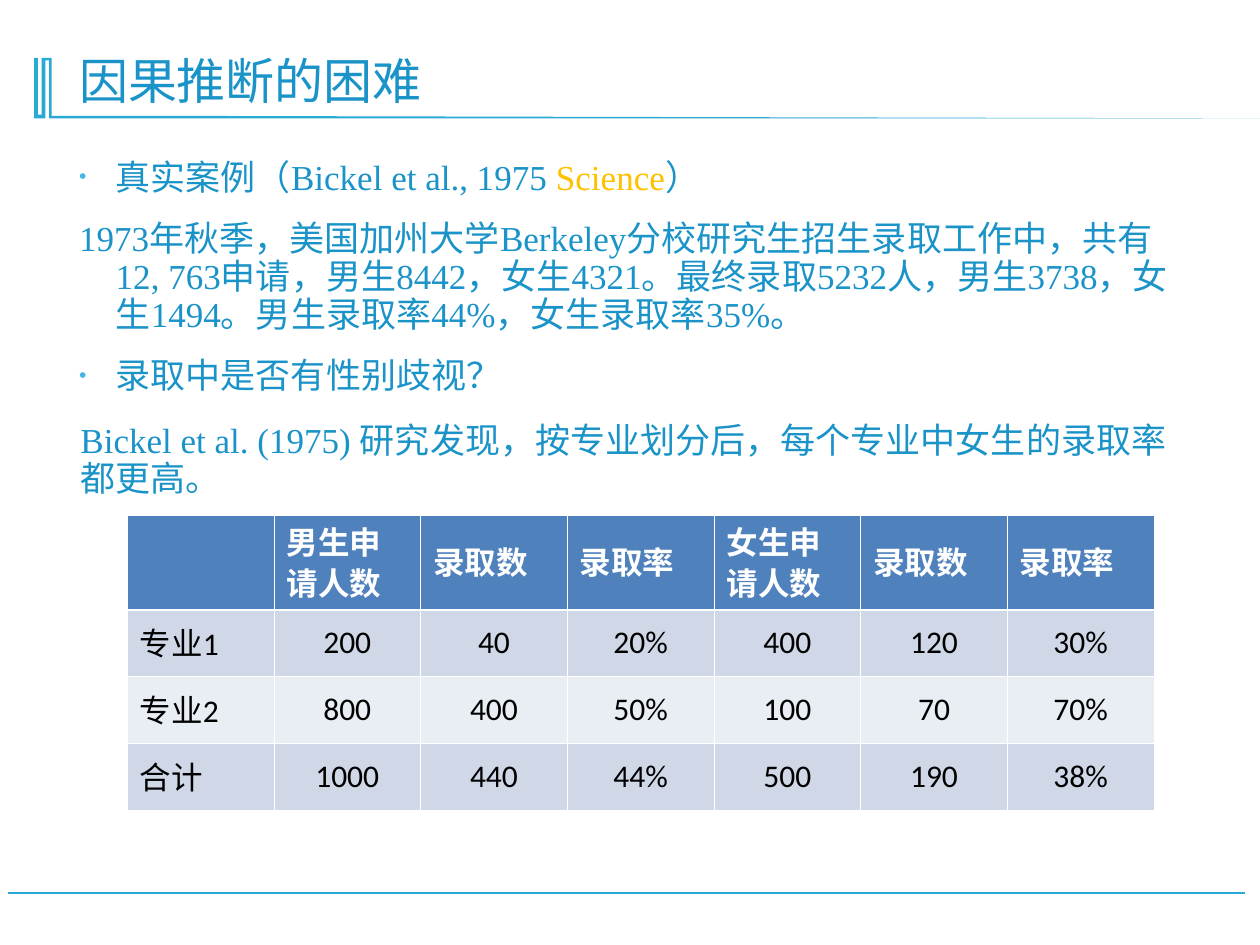
from lxml.etree import SubElement
from pptx import Presentation
from pptx.dml.color import RGBColor
from pptx.enum.shapes import MSO_CONNECTOR as Connector
from pptx.enum.text import MSO_ANCHOR as Anchor, PP_ALIGN as Align
from pptx.oxml.ns import qn
from pptx.util import Inches, Pt

BLUE, CYAN, GOLD, WHITE = "1A93C8", "28A9D6", "FFC000", "FFFFFF"
HEADER_FILL, BAND_FILLS = "4F81BD", ("D0D8E8", "E9EDF4")
SERIF = "Times New Roman"

ORNAMENT = [
    (0.4, 0.46), (0.41, 0.46), (0.41, 0.92), (1.4, 0.92), (10.09, 0.94),
    (0.39, 0.94), (0.39, 0.48), (0.36, 0.48), (0.36, 0.94), (0.27, 0.94),
    (0.27, 0.46), (0.3, 0.46), (0.3, 0.91), (0.33, 0.91), (0.33, 0.46),
]
CASE = [("真实案例（Bickel et al., 1975 ", BLUE), ("Science", GOLD), ("）", BLUE)]
ADMISSIONS = (
    "1973年秋季，美国加州大学Berkeley分校研究生招生录取工作中，"
    "共有12, 763申请，男生8442，女生4321。最终录取5232人，"
    "男生3738，女生1494。男生录取率44%，女生录取率35%。"
)
FINDING = "Bickel et al. (1975) 研究发现，按专业划分后，每个专业中女生的录取率都更高。"
ROWS = [
    ["", "男生申请人数", "录取数", "录取率", "女生申请人数", "录取数", "录取率"],
    ["专业1", "200", "40", "20%", "400", "120", "30%"],
    ["专业2", "800", "400", "50%", "100", "70", "70%"],
    ["合计", "1000", "440", "44%", "500", "190", "38%"],
]


def rgb(value):
    return RGBColor.from_string(value)


def add_bullet(p):
    pPr = p._p.get_or_add_pPr()
    color = SubElement(pPr, qn("a:buClr"))
    SubElement(color, qn("a:srgbClr"), val="47B6E7")
    SubElement(pPr, qn("a:buSzPct"), val="60000")
    SubElement(pPr, qn("a:buFont"), typeface="Arial")
    SubElement(pPr, qn("a:buChar"), char="•")


def write(tf, text, size=20, font=SERIF, color=BLUE, bold=False,
          align=Align.LEFT, bullet=False, hanging=0, first=True):
    p = tf.paragraphs[0] if first else tf.add_paragraph()
    p.alignment = align
    p.line_spacing = 0.9
    p.space_before = Pt(0 if first else 13.5)
    if hanging:
        pPr = p._p.get_or_add_pPr()
        pPr.set("marL", str(Inches(hanging)))
        pPr.set("indent", str(-Inches(hanging)))
    if bullet:
        add_bullet(p)
    for part, part_color in [(text, color)] if isinstance(text, str) else text:
        r = p.add_run()
        r.text = part
        r.font.size = Pt(size)
        r.font.name = font
        r.font.bold = bold
        r.font.color.rgb = rgb(part_color)


def add_textbox(s, left, top, width, height, anchor=Anchor.TOP):
    box = s.shapes.add_textbox(*map(Inches, (left, top, width, height)))
    tf = box.text_frame
    tf.word_wrap = True
    tf.vertical_anchor = anchor
    return tf


def add_line(s, x1, y1, x2, y2, color, width):
    line = s.shapes.add_connector(
        Connector.STRAIGHT, *map(Inches, (x1, y1, x2, y2)))
    line.line.color.rgb = rgb(color)
    line.line.width = Pt(width)
    SubElement(line._element.spPr, qn("a:effectLst"))


def add_outline(s, points, color):
    start, *rest = [(Inches(x), Inches(y)) for x, y in points]
    builder = s.shapes.build_freeform(*start)
    builder.add_line_segments(rest, close=True)
    sp = builder.convert_to_shape()
    sp.fill.solid()
    sp.fill.fore_color.rgb = rgb(color)
    sp.line.fill.background()
    sp.shadow.inherit = False


def set_borders(cell, **widths):
    tcPr = cell._tc.get_or_add_tcPr()
    for side, width in widths.items():
        ln = SubElement(tcPr, qn(f"a:ln{side}"), w=str(Pt(width)))
        SubElement(SubElement(ln, qn("a:solidFill")), qn("a:srgbClr"), val=WHITE)


def add_admission_table(s):
    frame = s.shapes.add_table(
        len(ROWS), len(ROWS[0]), *map(Inches, (1.01, 4.09, 8.15, 2.34)))
    table = frame.table
    table.horz_banding = False
    for i, values in enumerate(ROWS):
        table.rows[i].height = Inches(0.53 if i else 0.75)
        fill = BAND_FILLS[(i - 1) % 2] if i else HEADER_FILL
        for j, value in enumerate(values):
            cell = table.cell(i, j)
            cell.vertical_anchor = Anchor.MIDDLE
            set_borders(cell, L=0.45, R=0.45, T=1.47 if i == 1 else 0.45,
                        B=0.45 if i else 1.47)
            cell.fill.solid()
            cell.fill.fore_color.rgb = rgb(fill)
            if value:
                write(cell.text_frame, value, size=18, font="Calibri",
                      color="000000" if i else WHITE, bold=i == 0,
                      align=Align.CENTER if i and j else Align.LEFT)


def main():
    prs = Presentation()
    prs.slide_width, prs.slide_height = Inches(10), Inches(7.5)
    s = prs.slides.add_slide(prs.slide_layouts[6])

    add_line(s, 9.88, 7.09, 0.06, 7.09, CYAN, 1.25)
    add_outline(s, ORNAMENT, CYAN)

    title = add_textbox(s, 0.53, 0.28, 8.85, 0.64, anchor=Anchor.BOTTOM)
    write(title, "因果推断的困难", size=28)

    body = add_textbox(s, 0.53, 1.22, 8.85, 2.03)
    write(body, CASE, bullet=True, hanging=0.29)
    write(body, ADMISSIONS, hanging=0.29, first=False)
    write(body, "录取中是否有性别歧视？", bullet=True, hanging=0.29, first=False)

    finding = add_textbox(s, 0.54, 3.31, 8.85, 0.78)
    write(finding, FINDING)

    add_admission_table(s)
    prs.save("out.pptx")


if __name__ == "__main__":
    main()
